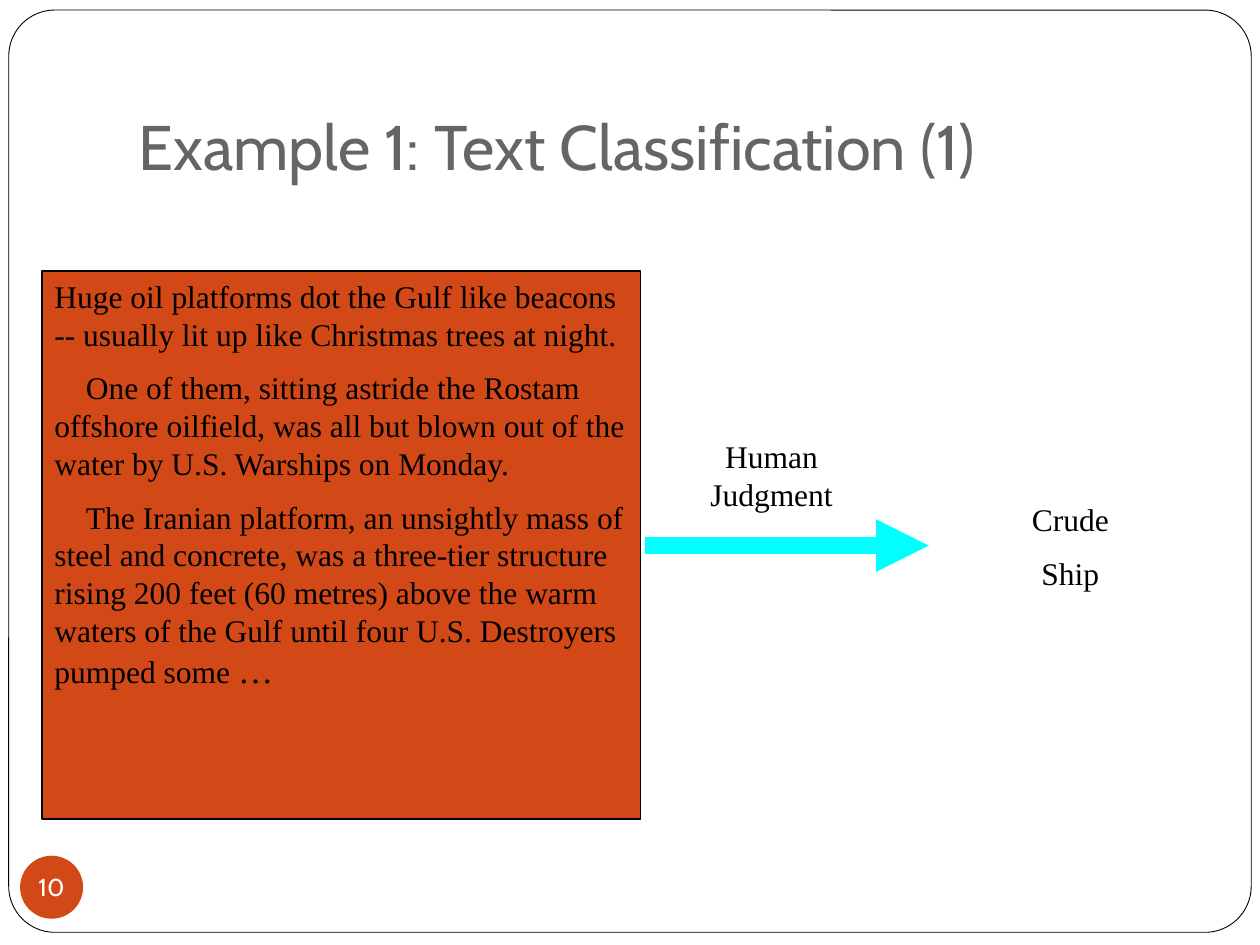
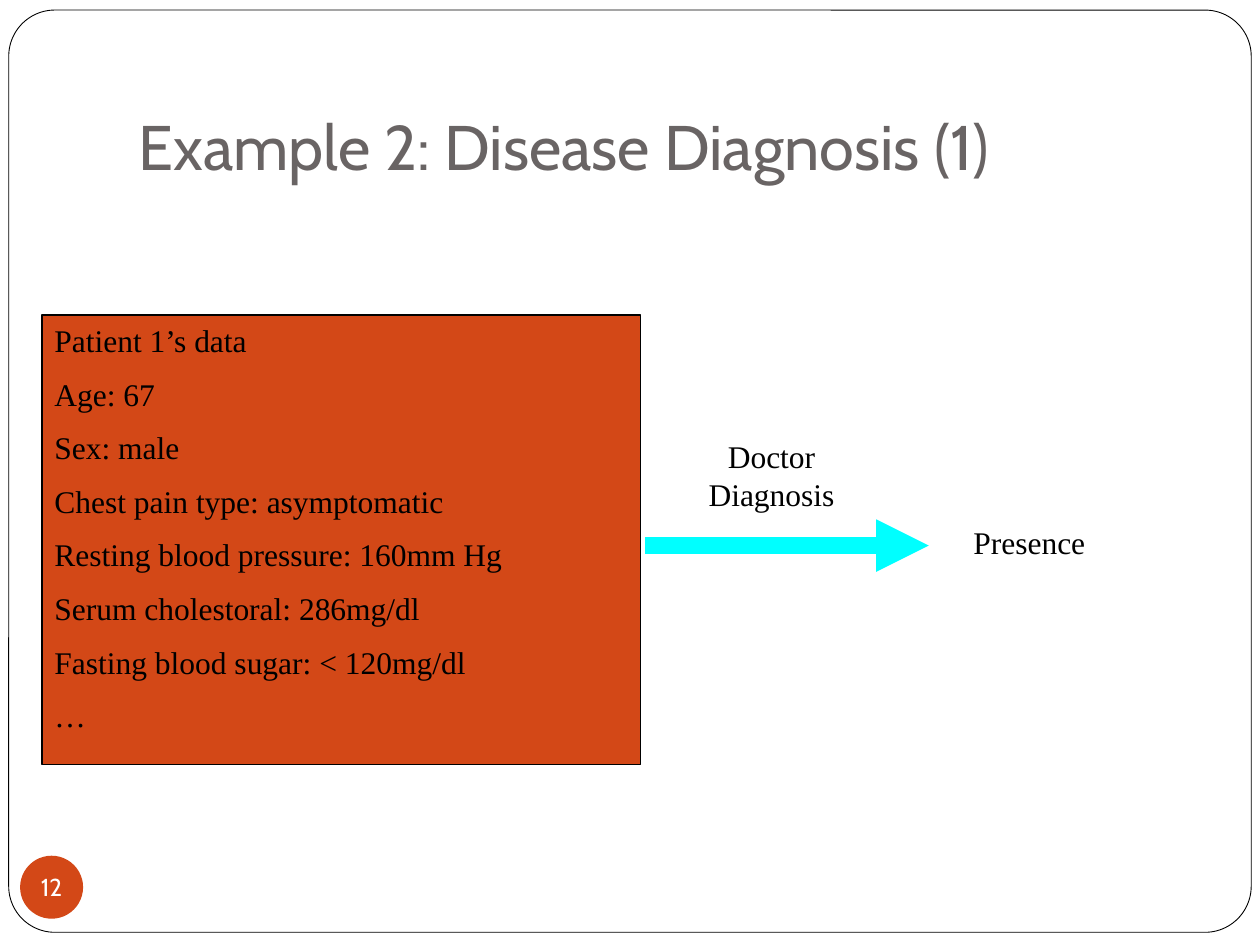
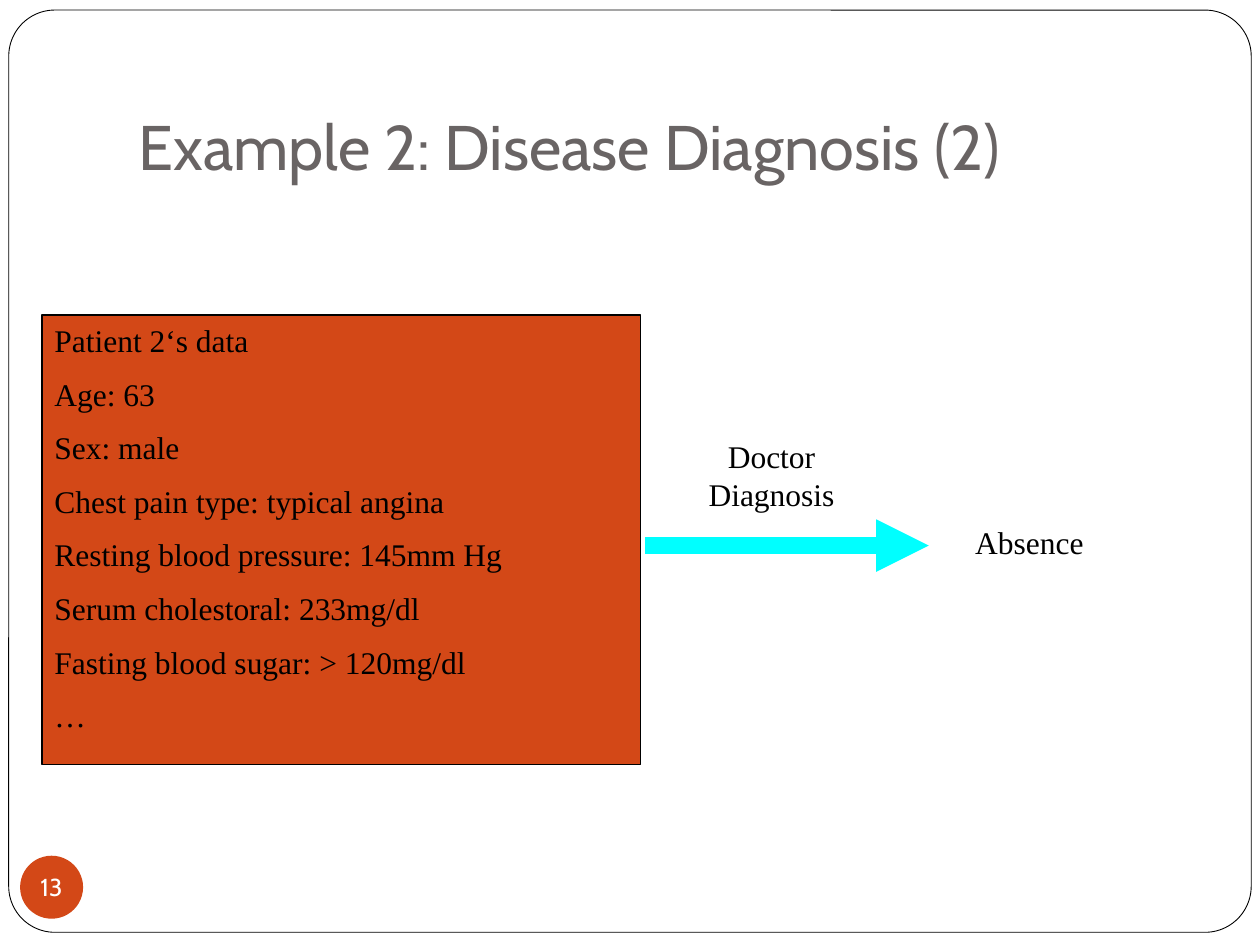
import dataclasses
import typing

import pptx
import pptx.dml.color
import pptx.enum.shapes
import pptx.enum.text
import pptx.oxml.ns
import pptx.oxml.xmlchemy
import pptx.util
import lxml.etree

Pt = pptx.util.Pt
RGBColor = pptx.dml.color.RGBColor
Align = pptx.enum.text.PP_ALIGN
Anchor = pptx.enum.text.MSO_ANCHOR
Preset = pptx.enum.shapes.MSO_SHAPE
qn = pptx.oxml.ns.qn


@dataclasses.dataclass(frozen=True)
class Theme:
    paper: RGBColor = RGBColor.from_string("FFFFFF")
    ink: RGBColor = RGBColor.from_string("000000")
    heading: RGBColor = RGBColor.from_string("696464")
    accent: RGBColor = RGBColor.from_string("D34817")
    arrow: RGBColor = RGBColor.from_string("00FFFF")
    display_font: str = "Cabin"
    body_font: str = "Times New Roman"
    title_size: float = 36
    body_size: float = 18
    ellipsis_size: float = 20
    number_size: float = 14
    body_gap: float = 9


THEME = Theme()


class Box(typing.NamedTuple):
    left: float
    top: float
    width: float
    height: float

    def lengths(self) -> list[pptx.util.Length]:
        return [Pt(value) for value in self]


class Passage(typing.NamedTuple):
    """One paragraph, with an optional larger ending."""
    text: str
    indent: float = 0
    ending: str = ""


@dataclasses.dataclass(frozen=True)
class Example:
    number: int
    title: str
    input_box: Box
    passages: list[Passage]
    judge: str
    result_box: Box
    results: list[str]


FRAME = Box(5, 5.75, 710, 527)
TITLE = Box(72, 21.6, 612, 90)
BADGE = Box(11.5, 489, 36, 36)
JUDGE = Box(384, 246.25, 113.75, 50.4)
ARROW_START, ARROW_END, ARROW_Y = 368.75, 530.75, 311.75
STORY_BOX = Box(24, 154.8, 342, 313.2)
STORY_RESULT = Box(534.25, 282.25, 154.8, 61.2)
PATIENT_BOX = Box(24, 180, 342, 257)
PATIENT_RESULT = Box(534.25, 295.2, 108, 28.8)
STORY_INDENT = 18


def write_text(frame, passages: list[Passage], *, font: str = THEME.body_font,
               size: float = THEME.body_size, color: RGBColor = THEME.ink,
               align=Align.LEFT, anchor=Anchor.TOP, gap: float = THEME.body_gap,
               margins: tuple[float, float, float, float] = (7.2, 3.6, 7.2, 3.6),
               wrap: bool = True) -> None:
    frame.auto_size = pptx.enum.text.MSO_AUTO_SIZE.NONE
    frame.word_wrap = wrap
    frame.vertical_anchor = anchor
    (frame.margin_left, frame.margin_top,
     frame.margin_right, frame.margin_bottom) = map(Pt, margins)
    for index, passage in enumerate(passages):
        paragraph = frame.add_paragraph() if index else frame.paragraphs[0]
        paragraph.alignment = align
        paragraph.space_before = Pt(gap if index else 0)
        if passage.indent:
            properties = paragraph._p.get_or_add_pPr()
            properties.set("marL", "0")
            properties.set("indent", str(Pt(passage.indent)))
        for text, run_size in ((passage.text, size),
                               (passage.ending, THEME.ellipsis_size)):
            if text:
                run = paragraph.add_run()
                run.text = text
                run.font.name = font
                run.font.size = Pt(run_size)
                run.font.color.rgb = color


def add_preset(slide, preset, box: Box, fill: RGBColor, line_width: float = 0):
    shape = slide.shapes.add_shape(preset, *box.lengths())
    shape.shadow.inherit = False
    shape.fill.solid()
    shape.fill.fore_color.rgb = fill
    if line_width:
        shape.line.color.rgb = THEME.ink
        shape.line.width = Pt(line_width)
    else:
        shape.line.fill.background()
    return shape


def add_centred_text(slide, box: Box, lines: list[str]) -> None:
    text_box = slide.shapes.add_textbox(*box.lengths())
    write_text(text_box.text_frame, [Passage(line) for line in lines],
               align=Align.CENTER)


def add_arrow(slide) -> None:
    connector = slide.shapes.add_connector(
        pptx.enum.shapes.MSO_CONNECTOR.STRAIGHT,
        Pt(ARROW_START), Pt(ARROW_Y), Pt(ARROW_END), Pt(ARROW_Y))
    connector.line.color.rgb = THEME.arrow
    connector.line.width = Pt(10)
    properties = connector.element.spPr
    line = properties.find(qn("a:ln"))
    lxml.etree.SubElement(line, qn("a:tailEnd"), type="triangle")
    lxml.etree.SubElement(properties, qn("a:effectLst"))


def move_frame_to_layout(slide) -> None:
    """Draw the rounded page frame once, behind everything on the layout."""
    frame = add_preset(slide, Preset.ROUNDED_RECTANGLE, FRAME, THEME.paper, 0.5)
    frame.adjustments[0] = 0.05
    slide.slide_layout.shapes.element.insert(2, frame.element)


def add_example(slide, example: Example) -> None:
    title = slide.shapes.title
    title.left, title.top, title.width, title.height = TITLE.lengths()
    write_text(title.text_frame, [Passage(example.title)],
               font=THEME.display_font, size=THEME.title_size,
               color=THEME.heading, anchor=Anchor.BOTTOM,
               margins=(7.2, 3.6, 7.2, 7.2))
    input_shape = add_preset(slide, Preset.RECTANGLE, example.input_box,
                             THEME.accent, 0.75)
    write_text(input_shape.text_frame, example.passages)
    add_arrow(slide)
    add_centred_text(slide, JUDGE, [example.judge])
    add_centred_text(slide, example.result_box, example.results)
    badge = add_preset(slide, Preset.OVAL, BADGE, THEME.accent)
    write_text(badge.text_frame, [Passage(str(example.number))],
               font=THEME.display_font, size=THEME.number_size,
               color=THEME.paper, align=Align.CENTER, anchor=Anchor.MIDDLE,
               margins=(0, 0, 0, 0), wrap=False)


def patient_example(number: int, part: int, owner: str, age: int, pain: str,
                    pressure: int, cholesterol: int, sugar: str,
                    result: str) -> Example:
    lines = [
        f"{owner} data",
        f"Age: {age}",
        "Sex: male",
        f"Chest pain type: {pain}",
        f"Resting blood pressure: {pressure}mm Hg",
        f"Serum cholestoral: {cholesterol}mg/dl",
        f"Fasting blood sugar: {sugar} 120mg/dl",
        "…",
    ]
    return Example(number, f"Example 2: Disease Diagnosis ({part})", PATIENT_BOX,
                   [Passage(line) for line in lines], "Doctor Diagnosis",
                   PATIENT_RESULT, [result])


EXAMPLES = [
    Example(
        10, "Example 1: Text Classification (1)", STORY_BOX,
        [
            Passage("Huge oil platforms dot the Gulf like beacons -- usually "
                    "lit up like Christmas trees at night."),
            Passage("One of them, sitting astride the Rostam offshore oilfield, "
                    "was all but blown out of the water by U.S. Warships on "
                    "Monday.", STORY_INDENT),
            Passage("The Iranian platform, an unsightly mass of steel and "
                    "concrete, was a three-tier structure rising 200 feet "
                    "(60 metres) above the warm waters of the Gulf until four "
                    "U.S. Destroyers pumped some ", STORY_INDENT, "…"),
        ],
        "Human Judgment", STORY_RESULT, ["Crude", "Ship"]),
    patient_example(12, 1, "Patient 1’s", 67, "asymptomatic", 160, 286, "<",
                    "Presence"),
    patient_example(13, 2, "Patient 2‘s", 63, "typical angina", 145, 233, ">",
                    "Absence"),
]


def main() -> None:
    presentation = pptx.Presentation()
    presentation.slide_width, presentation.slide_height = Pt(720), Pt(540)
    title_only = presentation.slide_layouts.get_by_name("Title Only")
    for index, example in enumerate(EXAMPLES):
        slide = presentation.slides.add_slide(title_only)
        if index == 0:
            move_frame_to_layout(slide)
        add_example(slide, example)
    presentation.save("out.pptx")


if __name__ == "__main__":
    main()
